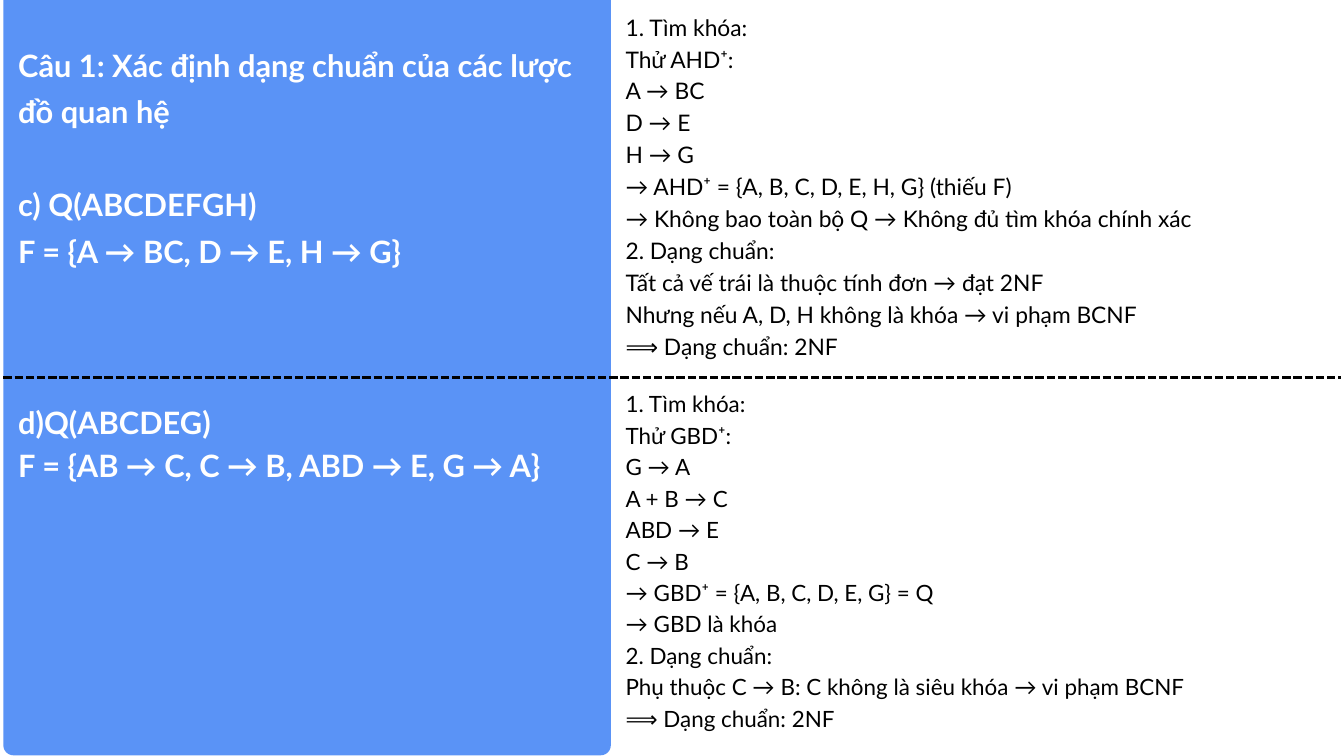
from lxml.etree import SubElement
from pptx import Presentation
from pptx.dml.color import RGBColor
from pptx.enum.dml import MSO_LINE
from pptx.enum.shapes import MSO_CONNECTOR, MSO_SHAPE
from pptx.enum.text import MSO_ANCHOR, MSO_AUTO_SIZE, PP_ALIGN
from pptx.oxml.ns import qn
from pptx.util import Inches, Pt

FONT = "Lato"
BLUE, WHITE, BLACK = "5A93F6", "FFFFFF", "000000"
LEFT_COLUMN, RIGHT_COLUMN = 0.27, 9.31

QUESTION_C = [
    "Câu 1: Xác định dạng chuẩn của các lược đồ quan hệ",
    "c) Q(ABCDEFGH)",
    "F = {A → BC, D → E, H → G}",
]
ANSWER_C = [
    "1. Tìm khóa:",
    "Thử AHD⁺:",
    "A → BC",
    "D → E",
    "H → G",
    "→ AHD⁺ = {A, B, C, D, E, H, G} (thiếu F)",
    "→ Không bao toàn bộ Q → Không đủ tìm khóa chính xác",
    "2. Dạng chuẩn:",
    "Tất cả vế trái là thuộc tính đơn → đạt 2NF",
    "Nhưng nếu A, D, H không là khóa → vi phạm BCNF",
    "⟹ Dạng chuẩn: 2NF",
]
QUESTION_D = [
    "d)Q(ABCDEG)",
    "F = {AB → C, C → B, ABD → E, G → A}",
]
ANSWER_D = [
    "1. Tìm khóa:",
    "Thử GBD⁺:",
    "G → A",
    "A + B → C",
    "ABD → E",
    "C → B",
    "→ GBD⁺ = {A, B, C, D, E, G} = Q",
    "→ GBD là khóa",
    "2. Dạng chuẩn:",
    "Phụ thuộc C → B: C không là siêu khóa → vi phạm BCNF",
    "⟹ Dạng chuẩn: 2NF",
]


def color(hex_value):
    return RGBColor.from_string(hex_value)


def place(shape, left, top, width, height):
    shape.left, shape.top = Inches(left), Inches(top)
    shape.width, shape.height = Inches(width), Inches(height)


def write_lines(shape, lines, size, spacing, hex_value, bold=False):
    """Fill a text shape with one paragraph per line, at exact line spacing."""
    frame = shape.text_frame
    frame.word_wrap = True
    frame.auto_size = MSO_AUTO_SIZE.NONE
    frame.vertical_anchor = MSO_ANCHOR.TOP
    frame.margin_left = frame.margin_right = 0
    frame.margin_top = frame.margin_bottom = 0
    for index, line in enumerate(lines):
        paragraph = frame.add_paragraph() if index else frame.paragraphs[0]
        paragraph.alignment = PP_ALIGN.LEFT
        paragraph.line_spacing = Pt(spacing)
        paragraph.space_before = paragraph.space_after = Pt(0)
        run = paragraph.add_run()
        run.text = line
        run.font.name = FONT
        run.font.size = Pt(size)
        run.font.bold = bold
        run.font.color.rgb = color(hex_value)


def add_text(slide, box, lines, size, spacing, hex_value, bold=False):
    shape = slide.shapes.add_textbox(*(Inches(length) for length in box))
    write_lines(shape, lines, size, spacing, hex_value, bold)


def add_title(slide):
    title = slide.shapes.title
    place(title, LEFT_COLUMN, 0.55, 8.25, 4.62)
    write_lines(title, QUESTION_C, 33, 49.8, WHITE, bold=True)
    # One line of air between the heading and the schema
    title.text_frame.paragraphs[1].space_before = Pt(49.8)


def add_panel(slide):
    width, height, radius = 9.04, 12.44, 0.15
    panel = slide.shapes.add_shape(
        MSO_SHAPE.ROUNDED_RECTANGLE,
        Inches(0.05), Inches(-1.2), Inches(width), Inches(height))
    panel.adjustments[0] = radius / width
    panel.shadow.inherit = False
    panel.fill.solid()
    panel.fill.fore_color.rgb = color(BLUE)
    panel.line.fill.background()
    # Send the panel behind the title
    slide.shapes.title.element.addprevious(panel.element)


def add_divider(slide):
    divider = slide.shapes.add_connector(
        MSO_CONNECTOR.STRAIGHT,
        Inches(0.05), Inches(5.62), Inches(19.95), Inches(5.62))
    divider.line.color.rgb = color(BLACK)
    divider.line.width = Pt(3)
    divider.line.dash_style = MSO_LINE.SQUARE_DOT
    SubElement(divider.element.spPr, qn("a:effectLst"))


def main():
    presentation = Presentation()
    presentation.slide_width = Inches(20)
    presentation.slide_height = Inches(11.25)
    slide = presentation.slides.add_slide(presentation.slide_layouts[5])

    # Upper half: schema c
    add_panel(slide)
    add_title(slide)
    add_text(slide, (RIGHT_COLUMN, 0.13, 11.27, 5.68), ANSWER_C, 24.4, 34.2, BLACK)

    # Lower half: schema d
    add_divider(slide)
    add_text(slide, (LEFT_COLUMN, 5.92, 8.86, 1.89), QUESTION_D, 33, 46.2, WHITE, bold=True)
    add_text(slide, (RIGHT_COLUMN, 5.74, 11.27, 6.02), ANSWER_D, 24, 33.7, BLACK)

    presentation.save("out.pptx")


if __name__ == "__main__":
    main()
